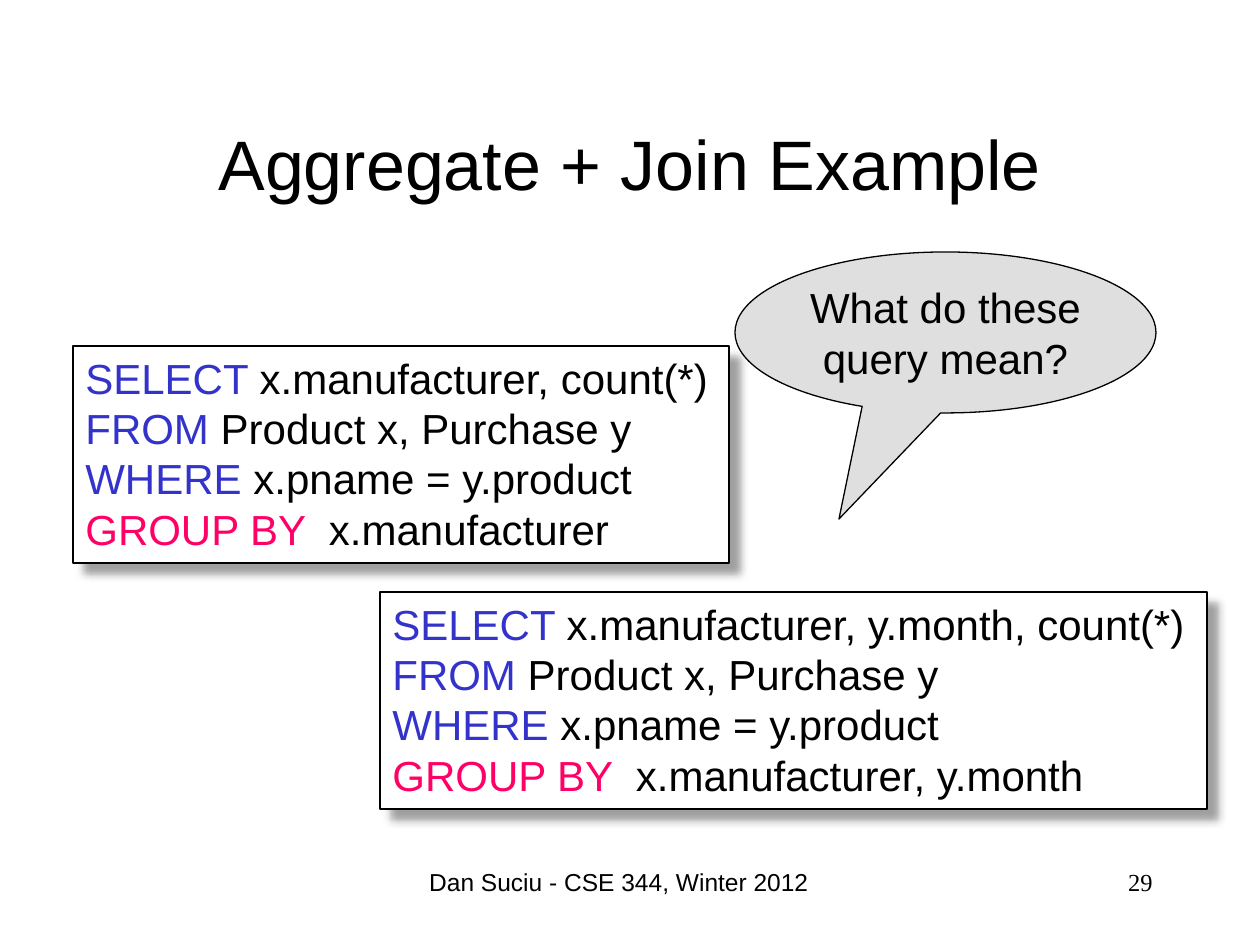
import dataclasses
import pptx
import pptx.dml.color
import pptx.enum.shapes
import pptx.enum.text
import pptx.oxml
import pptx.oxml.ns
import pptx.util

EMU_PER_PX = 914400 // 126
ALIGN = pptx.enum.text.PP_ALIGN
ANCHOR = pptx.enum.text.MSO_ANCHOR
SHAPE = pptx.enum.shapes.MSO_SHAPE


@dataclasses.dataclass(frozen=True)
class Theme:
    text: str = "000000"
    paper: str = "FFFFFF"
    keyword: str = "3333CC"
    grouping: str = "FF0066"
    bubble: str = "C0C0C0"
    shadow: str = "808080"
    sans: str = "Arial"
    serif: str = "Times New Roman"
    title_size: int = 40
    body_size: int = 24
    footer_size: int = 14


THEME = Theme()


def px(*lengths):
    return [pptx.util.Emu(length * EMU_PER_PX) for length in lengths]


def rgb(color):
    return pptx.dml.color.RGBColor.from_string(color)


def write(frame, lines, size, font=THEME.sans, align=ALIGN.LEFT, anchor=ANCHOR.TOP):
    frame.vertical_anchor = anchor
    for index, line in enumerate(lines):
        paragraph = frame.add_paragraph() if index else frame.paragraphs[0]
        paragraph.alignment = align
        for words, color in line:
            run = paragraph.add_run()
            run.text = words
            run.font.size = pptx.util.Pt(size)
            run.font.name = font
            run.font.color.rgb = rgb(color)


def effect_xml(tag, content, attributes=""):
    namespace = pptx.oxml.ns.nsdecls("a")
    return pptx.oxml.parse_xml(f"<a:{tag} {namespace} {attributes}>{content}</a:{tag}>")


def add_panel(slide, preset, box, fill):
    panel = slide.shapes.add_shape(preset, *px(*box))
    panel.shadow.inherit = False
    panel.fill.solid()
    panel.fill.fore_color.rgb = rgb(fill)
    panel.line.color.rgb = rgb(THEME.text)
    panel.line.width = pptx.util.Pt(0.75)
    panel.text_frame.word_wrap = False
    panel.text_frame.auto_size = pptx.enum.text.MSO_AUTO_SIZE.SHAPE_TO_FIT_TEXT
    return panel


def add_query(slide, box, columns, grouped):
    query = add_panel(slide, SHAPE.RECTANGLE, box, THEME.paper)
    effects = query._element.spPr.find(pptx.oxml.ns.qn("a:effectLst"))
    effects.append(effect_xml(
        "outerShdw",
        f'<a:srgbClr val="{THEME.shadow}"><a:alpha val="75000"/></a:srgbClr>',
        f'blurRad="{pptx.util.Pt(5)}" dist="{pptx.util.Pt(8.5)}" dir="2700000" '
        'algn="ctr" rotWithShape="0"'))
    clauses = [
        ("SELECT ", THEME.keyword, columns),
        ("FROM ", THEME.keyword, "Product x, Purchase y"),
        ("WHERE ", THEME.keyword, "x.pname = y.product"),
        ("GROUP BY  ", THEME.grouping, grouped),
    ]
    lines = [[(word, color), (rest, THEME.text)] for word, color, rest in clauses]
    write(query.text_frame, lines, THEME.body_size)


def add_question(slide, box, lines):
    bubble = add_panel(slide, SHAPE.OVAL_CALLOUT, box, THEME.bubble)
    bubble.adjustments[0] = -0.253
    bubble.adjustments[1] = 1.159
    solid = bubble._element.spPr.find(pptx.oxml.ns.qn("a:solidFill"))
    solid[0].append(effect_xml("alpha", "", 'val="50000"'))
    write(bubble.text_frame, [[(line, THEME.text)] for line in lines],
          THEME.body_size, align=ALIGN.CENTER)


def add_footer(slide, box, words, font, align):
    footer = slide.shapes.add_textbox(*px(*box))
    footer.text_frame.word_wrap = True
    write(footer.text_frame, [[(words, THEME.text)]], THEME.footer_size, font, align)


def set_title(slide, box, words):
    title = slide.shapes.title
    title.left, title.top, title.width, title.height = px(*box)
    write(title.text_frame, [[(words, THEME.text)]], THEME.title_size,
          align=ALIGN.CENTER, anchor=ANCHOR.MIDDLE)


def main():
    deck = pptx.Presentation()
    deck.slide_width, deck.slide_height = pptx.util.Inches(10), pptx.util.Inches(7.5)
    slide = deck.slides.add_slide(deck.slide_layouts[5])
    set_title(slide, (94, 84, 1071, 158), "Aggregate + Join Example")
    add_footer(slide, (388, 861, 462, 63), "Dan Suciu - CSE 344, Winter 2012",
               THEME.sans, ALIGN.CENTER)
    add_query(slide, (73, 346, 656, 217), "x.manufacturer, count(*)", "x.manufacturer")
    add_question(slide, (735, 252, 421, 161), ["What do these ", "query mean?"])
    add_query(slide, (380, 592, 827, 217), "x.manufacturer, y.month, count(*)",
              "x.manufacturer, y.month")
    add_footer(slide, (903, 861, 262, 63), "29", THEME.serif, ALIGN.RIGHT)
    deck.save("out.pptx")


main()
